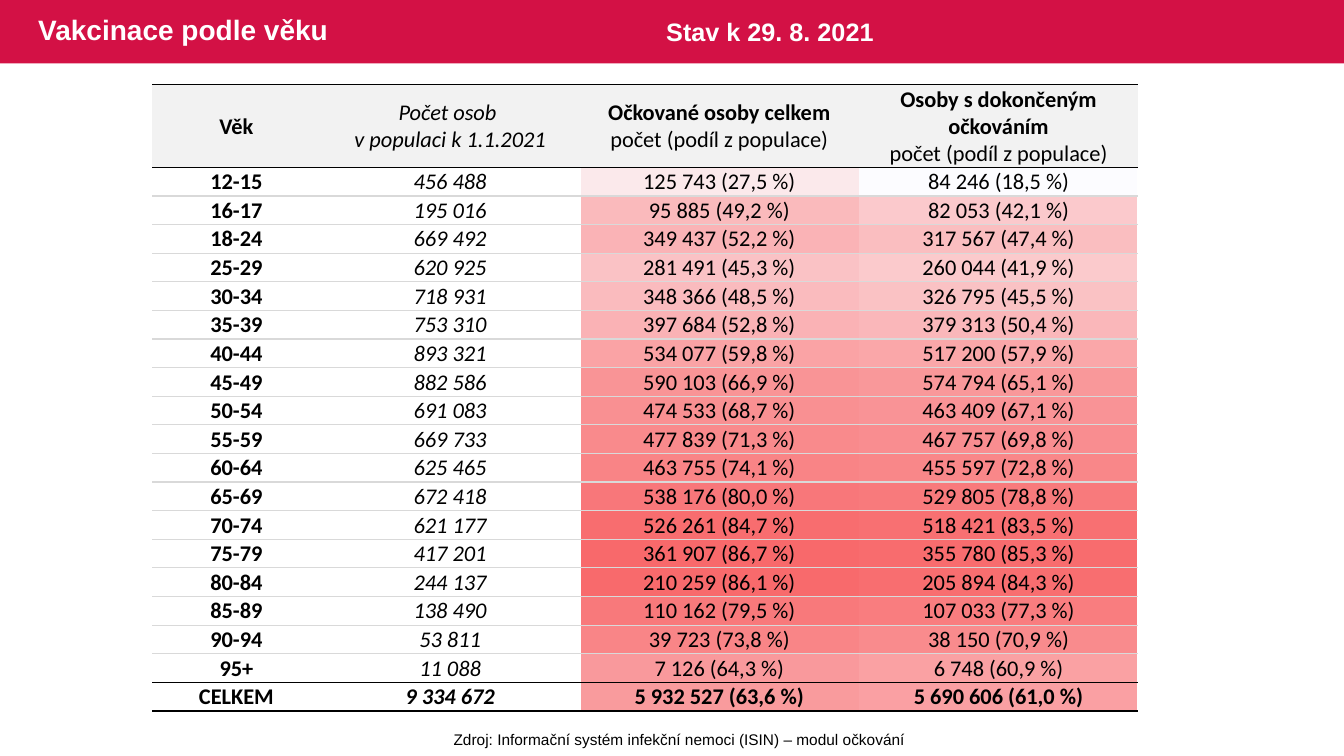
from lxml import etree
from pptx import Presentation
from pptx.dml.color import RGBColor
from pptx.enum.shapes import MSO_SHAPE
from pptx.enum.text import MSO_ANCHOR, PP_ALIGN
from pptx.oxml.ns import qn
from pptx.util import Inches, Pt

RECTANGLE = MSO_SHAPE.RECTANGLE
TOP, MIDDLE = MSO_ANCHOR.TOP, MSO_ANCHOR.MIDDLE
LEFT, CENTER = PP_ALIGN.LEFT, PP_ALIGN.CENTER

SLIDE_WIDTH, SLIDE_HEIGHT = 13.33, 7.5
BAND_HEIGHT = 0.63
HEADER_HEIGHT = 0.82
COLUMN_WIDTHS = (1.67, 2.57, 2.77, 2.77)

CRIMSON = RGBColor(0xD3, 0x11, 0x45)
WHITE = RGBColor(0xFF, 0xFF, 0xFF)
BLACK = RGBColor(0, 0, 0)
HEADER_GRAY = RGBColor(0xF2, 0xF2, 0xF2)
RULE_GRAY = RGBColor(0xD9, 0xD9, 0xD9)
SCALE_LOW = RGBColor(0xFC, 0xFC, 0xFF)
SCALE_HIGH = RGBColor(0xF8, 0x69, 0x6B)

BOLD, ITALIC, PLAIN = {"bold": True}, {"italic": True}, {}
COLUMN_STYLES = (BOLD, ITALIC, PLAIN, PLAIN)

# Each header is a list of lines with their format.
HEADERS = (
    [("Věk", BOLD)],
    [("Počet osob ", ITALIC), ("v populaci k 1.1.2021", ITALIC)],
    [("Očkované osoby celkem", BOLD), ("počet (podíl z populace)", PLAIN)],
    [("Osoby s dokončeným očkováním", BOLD), ("počet (podíl z populace)", PLAIN)],
)

# Age group, population, vaccinated and share, fully vaccinated and share.
AGE_GROUPS = (
    ("12-15", "456 488", "125 743 (27,5 %)", "84 246 (18,5 %)"),
    ("16-17", "195 016", "95 885 (49,2 %)", "82 053 (42,1 %)"),
    ("18-24", "669 492", "349 437 (52,2 %)", "317 567 (47,4 %)"),
    ("25-29", "620 925", "281 491 (45,3 %)", "260 044 (41,9 %)"),
    ("30-34", "718 931", "348 366 (48,5 %)", "326 795 (45,5 %)"),
    ("35-39", "753 310", "397 684 (52,8 %)", "379 313 (50,4 %)"),
    ("40-44", "893 321", "534 077 (59,8 %)", "517 200 (57,9 %)"),
    ("45-49", "882 586", "590 103 (66,9 %)", "574 794 (65,1 %)"),
    ("50-54", "691 083", "474 533 (68,7 %)", "463 409 (67,1 %)"),
    ("55-59", "669 733", "477 839 (71,3 %)", "467 757 (69,8 %)"),
    ("60-64", "625 465", "463 755 (74,1 %)", "455 597 (72,8 %)"),
    ("65-69", "672 418", "538 176 (80,0 %)", "529 805 (78,8 %)"),
    ("70-74", "621 177", "526 261 (84,7 %)", "518 421 (83,5 %)"),
    ("75-79", "417 201", "361 907 (86,7 %)", "355 780 (85,3 %)"),
    ("80-84", "244 137", "210 259 (86,1 %)", "205 894 (84,3 %)"),
    ("85-89", "138 490", "110 162 (79,5 %)", "107 033 (77,3 %)"),
    ("90-94", "53 811", "39 723 (73,8 %)", "38 150 (70,9 %)"),
    ("95+", "11 088", "7 126 (64,3 %)", "6 748 (60,9 %)"),
    ("CELKEM", "9 334 672", "5 932 527 (63,6 %)", "5 690 606 (61,0 %)"),
)


def write(paragraph, text, size=16, font="Calibri", color=BLACK,
          bold=False, italic=False, align=CENTER):
    paragraph.alignment = align
    run = paragraph.add_run()
    run.text = text
    run.font.size, run.font.name = Pt(size), font
    run.font.bold, run.font.italic = bold, italic
    run.font.color.rgb = color


def add_text(slide, box, text, anchor=TOP, wrap=True, line_spacing=None, **style):
    frame = slide.shapes.add_textbox(*map(Inches, box)).text_frame
    frame.word_wrap = wrap
    frame.vertical_anchor = anchor
    paragraph = frame.paragraphs[0]
    paragraph.line_spacing = line_spacing
    write(paragraph, text, font="Arial", **style)


def share(text):
    """Return the percentage in brackets as a number."""
    return float(text.split("(")[1].split()[0].replace(",", "."))


def scale_color(value, low, high):
    """Blend the two ends of the colour scale by where the value lies."""
    position = (value - low) / (high - low)
    return RGBColor(*(round(start + (end - start) * position)
                      for start, end in zip(SCALE_LOW, SCALE_HIGH)))


def set_borders(cell, top=None, bottom=None):
    """Rule the cell above and below where a colour is given; leave the rest open."""
    properties = cell._tc.get_or_add_tcPr()
    edges = (("a:lnL", None), ("a:lnR", None), ("a:lnT", top), ("a:lnB", bottom))
    for index, (tag, color) in enumerate(edges):
        line = etree.Element(qn(tag), w=str(Pt(1)))
        if color is None:
            etree.SubElement(line, qn("a:noFill"))
        else:
            fill = etree.SubElement(line, qn("a:solidFill"))
            etree.SubElement(fill, qn("a:srgbClr"), val=str(color))
        properties.insert(index, line)


def paint_cell(cell, fill):
    cell.margin_left = cell.margin_right = cell.margin_top = Inches(0.01)
    cell.margin_bottom = 0
    cell.vertical_anchor = MIDDLE
    if fill is None:
        cell.fill.background()
    else:
        cell.fill.solid()
        cell.fill.fore_color.rgb = fill


def fill_cell(cell, lines, fill, top, bottom):
    frame = cell.text_frame
    for index, (text, style) in enumerate(lines):
        paragraph = frame.add_paragraph() if index else frame.paragraphs[0]
        write(paragraph, text, **style)
    paint_cell(cell, fill)
    set_borders(cell, top, bottom)


def add_grid(slide, box, column_widths, row_heights):
    shape = slide.shapes.add_table(len(row_heights), len(column_widths), *map(Inches, box))
    table = shape.table
    table.first_row = table.horz_banding = False
    for column, width in zip(table.columns, column_widths):
        column.width = Inches(width)
    for row, height in zip(table.rows, row_heights):
        row.height = Inches(height)
    return table


def add_title_band(slide, box):
    band = slide.shapes.add_shape(RECTANGLE, *map(Inches, box))
    band.shadow.inherit = False
    band.fill.solid()
    band.fill.fore_color.rgb = CRIMSON
    band.line.fill.background()
    left, top, width, height = box
    add_text(slide, (left + 0.28, top, width * 0.61, height), "Vakcinace podle věku",
             anchor=MIDDLE, line_spacing=0.9, size=20, color=WHITE, bold=True, align=LEFT)
    add_text(slide, (left + 6.51, top + 0.11, 2.96, 0.4), "Stav k 29. 8. 2021",
             size=18, color=WHITE, bold=True, align=LEFT)


def add_share_shading(slide, box):
    """Place a heat map of the shares, to lie under the last two columns."""
    left, top, width, height = box
    row_count = len(AGE_GROUPS)
    table = add_grid(slide, box, [width / 2] * 2, [height / row_count] * row_count)
    shares = [[share(text) for text in group[2:]] for group in AGE_GROUPS]
    low, high = min(map(min, shares)), max(map(max, shares))
    for row, values in enumerate(shares):
        for column, value in enumerate(values):
            cell = table.cell(row, column)
            paint_cell(cell, scale_color(value, low, high))
            set_borders(cell)
            paragraph = cell.text_frame.paragraphs[0]
            etree.SubElement(paragraph._p, qn("a:endParaRPr"), sz="1200")


def add_age_table(slide, box):
    left, top, width, height = box
    group_count = len(AGE_GROUPS)
    row_height = (height - HEADER_HEIGHT) / group_count
    table = add_grid(slide, box, COLUMN_WIDTHS,
                     [HEADER_HEIGHT] + [row_height] * group_count)

    # Black rules enclose the header and the total; gray ones part the ages.
    black_rules = (0, 1, group_count, group_count + 1)
    rules = [BLACK if index in black_rules else RULE_GRAY
             for index in range(group_count + 2)]
    for column, lines in enumerate(HEADERS):
        fill_cell(table.cell(0, column), lines, HEADER_GRAY, rules[0], rules[1])
    for row, group in enumerate(AGE_GROUPS, start=1):
        for column, (text, style) in enumerate(zip(group, COLUMN_STYLES)):
            style = {**style, **BOLD} if row == group_count else style
            fill_cell(table.cell(row, column), [(text, style)], None,
                      rules[row], rules[row + 1])


def main():
    presentation = Presentation()
    presentation.slide_width = Inches(SLIDE_WIDTH)
    presentation.slide_height = Inches(SLIDE_HEIGHT)
    slide = presentation.slides.add_slide(presentation.slide_layouts[6])
    add_title_band(slide, (0, 0, SLIDE_WIDTH, BAND_HEIGHT))
    add_share_shading(slide, (5.76, 1.66, 5.52, 5.4))
    add_text(slide, (4.39, 7.19, 4.7, 0.29),
             "Zdroj: Informační systém infekční nemoci (ISIN) – modul očkování",
             wrap=False, size=11)
    add_age_table(slide, (1.51, 0.84, 9.77, 6.22))
    presentation.save("out.pptx")


if __name__ == "__main__":
    main()
